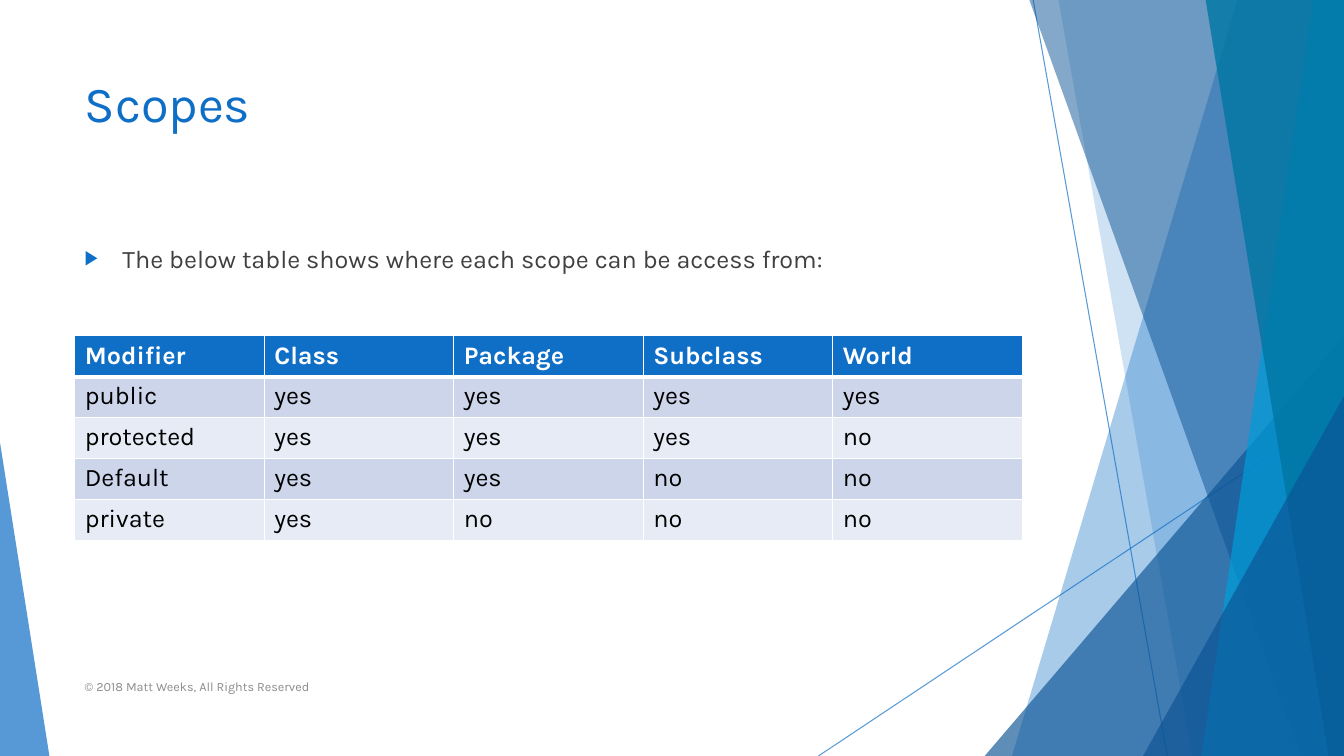
from lxml import etree
from pptx import Presentation
from pptx.dml.color import RGBColor
from pptx.enum.shapes import MSO_CONNECTOR, MSO_SHAPE
from pptx.enum.text import MSO_ANCHOR
from pptx.oxml.ns import qn
from pptx.util import Pt

LINE = MSO_CONNECTOR.STRAIGHT
WEDGE = MSO_SHAPE.ISOSCELES_TRIANGLE
TOP, MIDDLE = MSO_ANCHOR.TOP, MSO_ANCHOR.MIDDLE

# Content
TITLE = "Scopes"
INTRO = "The below table shows where each scope can be access from:"
FOOTER = "© 2018 Matt Weeks, All Rights Reserved"
SCOPES = [
    ("Modifier", "Class", "Package", "Subclass", "World"),
    ("public", "yes", "yes", "yes", "yes"),
    ("protected", "yes", "yes", "yes", "no"),
    ("Default", "yes", "yes", "no", "no"),
    ("private", "yes", "no", "no", "no"),
]

THEME = {
    "font": "Karla",
    "blue": "0F6FC6", "navy": "0B5394", "cyan": "009DD9", "teal": "0076A3",
    "white": "FFFFFF", "black": "000000", "body": "404040", "foot": "8C8C8C",
    "bands": ("CCD5EA", "E7EBF5"),
    "title_size": 36, "text_size": 18, "foot_size": 9,
}

# Layout, in points
WIDE, HIGH = 960, 540
LEFT, SPAN = 53.4, 676.8
GRID_TOP, ROW = 239.9, 29.2
RAYS = [(738, 0, 833.8, HIGH), (WIDE, 290.2, 584.6, HIGH)]
# A band runs from its top x to its foot x and fills to the right edge.
# A wedge has left, right, top and the tip's place along its width.
DECOR = [
    ("band", (884.2, 722.9), "blue", 36),
    ("band", (756, 851.8), "blue", 20),
    ("wedge", (703.4, WIDE, 239.8, 1), "navy", 66),
    ("band", (735.1, 929.5), "navy", 50),
    ("band", (938.2, 858.2), "cyan", 70),
    ("band", (861.1, 949), "teal", 80),
    ("wedge", (816.5, WIDE, 283, 1), "navy", 66),
    ("wedge", (0, 35.3, 316.1, 0), "blue", 70),
]


def tint(color):
    """Look up a theme colour, or read a plain hex value."""
    return RGBColor.from_string(THEME.get(color, color))


def fade(fill, alpha):
    """Set the opacity, in percent, of a solid fill element."""
    etree.SubElement(fill[0], qn("a:alpha"), val=str(alpha * 1000))


def add_ray(slide, ends):
    """Draw one thin, see-through line."""
    ray = slide.shapes.add_connector(LINE, *map(Pt, ends))
    ray.line.color.rgb = tint("blue")
    ray.line.width = Pt(0.75)
    props = ray._element.spPr
    fade(props.find(".//" + qn("a:solidFill")), 70)
    etree.SubElement(props, qn("a:effectLst"))


def add_band(slide, top, foot):
    """Outline a slanted band that reaches the right edge."""
    rise = -0.6
    pen = slide.shapes.build_freeform(Pt(top), Pt(rise))
    rest = [(WIDE, rise), (WIDE, HIGH), (foot, HIGH)]
    pen.add_line_segments([(Pt(x), Pt(y)) for x, y in rest], close=True)
    return pen.convert_to_shape()


def add_wedge(slide, left, right, top, tip):
    """Add a triangle that stands on the foot of the slide."""
    box = (left, top, right - left, HIGH - top)
    wedge = slide.shapes.add_shape(WEDGE, *map(Pt, box))
    wedge.adjustments[0] = tip
    return wedge


def add_decor(slide):
    """Lay out the lines and see-through facets, back to front."""
    makers = {"band": add_band, "wedge": add_wedge}
    for ends in RAYS:
        add_ray(slide, ends)
    for kind, place, color, alpha in DECOR:
        part = makers[kind](slide, *place)
        part.shadow.inherit = False
        part.fill.solid()
        part.fill.fore_color.rgb = tint(color)
        part.line.fill.background()
        fade(part._element.spPr.find(qn("a:solidFill")), alpha)


def write(para, text, size, color, bold=False):
    """Add one styled run to a paragraph."""
    run = para.add_run()
    run.text = text
    font = run.font
    font.name, font.size, font.bold = THEME["font"], Pt(THEME[size]), bold
    font.color.rgb = tint(color)


def add_text(slide, box, text, size, color, anchor=TOP):
    """Add a wrapped text box and return its paragraph."""
    frame = slide.shapes.add_textbox(*map(Pt, box)).text_frame
    frame.word_wrap = True
    frame.vertical_anchor = anchor
    para = frame.paragraphs[0]
    write(para, text, size, color)
    return para


def add_bullet(para):
    """Give a paragraph a hanging blue arrow bullet."""
    para.space_before = Pt(10)
    props = para._p.get_or_add_pPr()
    props.set("marL", str(Pt(27)))
    props.set("indent", str(Pt(-27)))
    paint = etree.SubElement(props, qn("a:buClr"))
    etree.SubElement(paint, qn("a:srgbClr"), val=THEME["blue"])
    etree.SubElement(props, qn("a:buSzPct"), val="80000")
    etree.SubElement(props, qn("a:buFont"), typeface="Arial")
    etree.SubElement(props, qn("a:buChar"), char="▶")


def add_edges(cell, top, foot):
    """Draw white borders round a cell."""
    props = cell._tc.get_or_add_tcPr()
    for spot, (side, width) in enumerate(zip("LRTB", (1, 1, top, foot))):
        edge = etree.Element(qn("a:ln" + side), w=str(Pt(width)))
        fill = etree.SubElement(edge, qn("a:solidFill"))
        etree.SubElement(fill, qn("a:srgbClr"), val=THEME["white"])
        props.insert(spot, edge)


def add_grid(slide):
    """Build the table of scopes with a header and banded rows."""
    rows, cols = len(SCOPES), len(SCOPES[0])
    box = (LEFT, GRID_TOP, SPAN, ROW * rows)
    grid = slide.shapes.add_table(rows, cols, *map(Pt, box)).table
    for col in grid.columns:
        col.width = Pt(SPAN / cols)
    for r, words in enumerate(SCOPES):
        grid.rows[r].height = Pt(ROW)
        head = r == 0
        back = "blue" if head else THEME["bands"][(r - 1) % 2]
        for c, word in enumerate(words):
            cell = grid.cell(r, c)
            cell.fill.solid()
            cell.fill.fore_color.rgb = tint(back)
            add_edges(cell, 3 if r == 1 else 1, 3 if head else 1)
            write(cell.text_frame.paragraphs[0], word, "text_size",
                  "white" if head else "black", head)


def main():
    """Build the slide and save it."""
    deck = Presentation()
    deck.slide_width, deck.slide_height = Pt(WIDE), Pt(HIGH)
    slide = deck.slides.add_slide(deck.slide_layouts[6])
    add_decor(slide)
    add_bullet(add_text(slide, (LEFT, 170, SPAN, 305.3), INTRO,
                        "text_size", "body"))
    add_text(slide, (LEFT, 48, SPAN, 104), TITLE, "title_size", "blue")
    add_grid(slide)
    add_text(slide, (LEFT, 475.9, 496, 28.8), FOOTER,
             "foot_size", "foot", MIDDLE)
    deck.save("out.pptx")


main()
